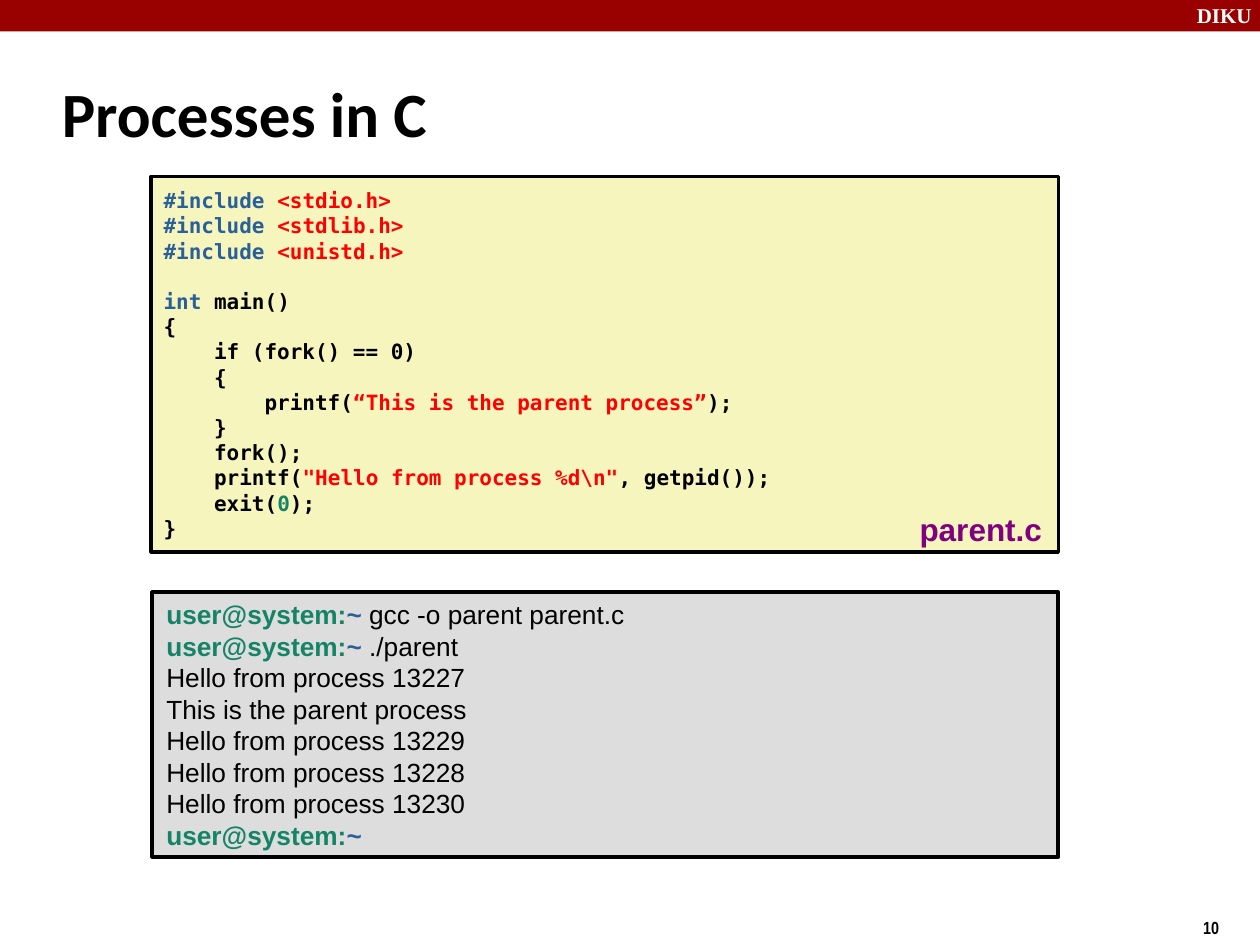
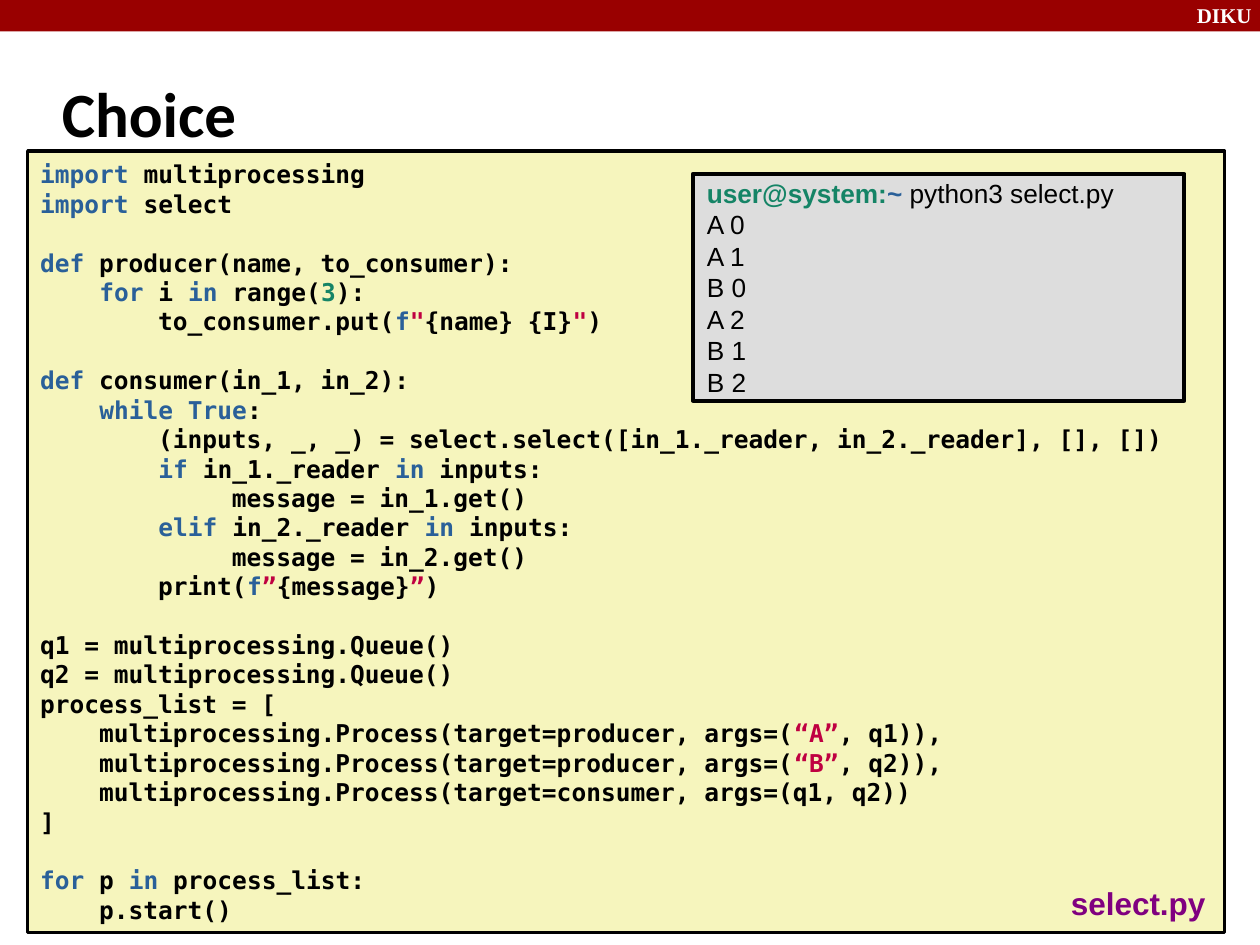
from pptx import Presentation
from pptx.dml.color import RGBColor
from pptx.enum.shapes import MSO_SHAPE as Shape
from pptx.enum.text import MSO_ANCHOR as Anchor, PP_ALIGN as Align
from pptx.util import Inches, Pt

BLACK, WHITE, BAND = "000000", "FFFFFF", "990000"
CODE_FILL, TERMINAL_FILL = "F6F5BD", "DDDDDD"
KEYWORD, NUMBER, FILE_NAME = "2A6099", "158466", "800080"
LINE_HEIGHT = 1.2
PROMPT = "&user@system:|^~"

PARENT_CODE = r"""^#include |$<stdio.h>
^#include |$<stdlib.h>
^#include |$<unistd.h>

^int| main()
{
    if (fork() == 0)
    {
        printf(|$“This is the parent process”|);
    }
    fork();
    printf(|$"Hello from process %d\n"|, getpid());
    exit(|&0|);
}"""

PARENT_RUN = f"""{PROMPT}| gcc -o parent parent.c
{PROMPT}| ./parent
Hello from process 13227
This is the parent process
Hello from process 13229
Hello from process 13228
Hello from process 13230
{PROMPT}"""

SELECT_CODE = """^import| multiprocessing
^import| select

^def| producer(name, to_consumer):
    |^for| i |^in| range(|&3|):
        to_consumer.put(|^f|$"|{name} {I}|$"|)

^def| consumer(in_1, in_2):
    |^while True|:
        (inputs, _, _) = select.select([in_1._reader, in_2._reader], [], [])
        |^if| in_1._reader |^in| inputs:
             message = in_1.get()
        |^elif| in_2._reader |^in| inputs:
             message = in_2.get()
        print(|^f|$”|{message}|$”|)

q1 = multiprocessing.Queue()
q2 = multiprocessing.Queue()
process_list = [
    multiprocessing.Process(target=producer, args=(|$“A”|, q1)),
    multiprocessing.Process(target=producer, args=(|$“B”|, q2)),
    multiprocessing.Process(target=consumer, args=(q1, q2))
]

^for| p |^in| process_list:
    p.start()"""

SELECT_RUN = f"""{PROMPT}| python3 select.py
A 0
A 1
B 0
A 2
B 1
B 2"""

PAGES = [
    {"title": "Processes in C", "number": "10", "string": "FF0000",
     "code": (PARENT_CODE, 12, (1.2, 1.4, 7.2, 2.98)),
     "run": (PARENT_RUN, (1.21, 4.7, 7.19, 2.1)),
     "file": ("parent.c", (7.2, 4, 1.2, 0.38))},
    {"title": "Choice", "number": None, "string": "BF0041",
     "code": (SELECT_CODE, 14, (0.22, 1.2, 9.5, 6.2)),
     "run": (SELECT_RUN, (5.5, 1.38, 3.9, 1.8)),
     "file": ("select.py", (8.4, 6.97, 1.3, 0.4))},
]


def color(value):
    return RGBColor.from_string(value)


def add_label(page, text, place, font_name, size, ink):
    box = page.shapes.add_textbox(*map(Inches, place))
    box.text_frame.word_wrap = True
    para = box.text_frame.paragraphs[0]
    para.text = text
    para.font.name = font_name
    para.font.size = Pt(size)
    para.font.bold = True
    para.font.color.rgb = color(ink)


deck = Presentation()
deck.slide_width, deck.slide_height = Inches(10), Inches(7.5)

for content in PAGES:
    page = deck.slides.add_slide(deck.slide_layouts[5])
    title = page.shapes.title
    title.left, title.top, title.width, title.height = map(Inches, (0.39, 0.48, 8.3, 0.83))
    title.text_frame.vertical_anchor = Anchor.MIDDLE
    para = title.text_frame.paragraphs[0]
    para.text = content["title"]
    para.alignment = Align.LEFT
    para.font.name = "Calibri"
    para.font.size = Pt(36)
    para.font.bold = True
    para.font.color.rgb = color(BLACK)

    band = page.shapes.add_shape(Shape.RECTANGLE, 0, 0, Inches(10), Inches(0.25))
    band.shadow.inherit = False
    band.fill.solid()
    band.fill.fore_color.rgb = color(BAND)
    band.line.fill.background()
    add_label(page, "DIKU", (9.4, -0.03, 0.67, 0.3), "Times New Roman", 12, WHITE)
    if content["number"]:
        add_label(page, content["number"], (9.45, 7.23, 0.75, 0.29), "Arial Narrow", 10, BLACK)

    inks = {"^": KEYWORD, "$": content["string"], "&": NUMBER}
    code, code_size, code_place = content["code"]
    run, run_place = content["run"]
    panels = [
        (code, code_place, CODE_FILL, 2, "DejaVu Sans Mono", code_size, True, 0.1, 0.05),
        (run, run_place, TERMINAL_FILL, 2.3, "Arial", 15, False, 0.11, 0.06),
    ]
    for text, place, fill, line_width, font_name, size, bold, side, edge in panels:
        panel = page.shapes.add_shape(Shape.RECTANGLE, *map(Inches, place))
        panel.shadow.inherit = False
        panel.fill.solid()
        panel.fill.fore_color.rgb = color(fill)
        panel.line.color.rgb = color(BLACK)
        panel.line.width = Pt(line_width)
        frame = panel.text_frame
        frame.word_wrap = True
        frame.vertical_anchor = Anchor.MIDDLE
        frame.margin_left = frame.margin_right = Inches(side)
        frame.margin_top = frame.margin_bottom = Inches(edge)
        para, gap = frame.paragraphs[0], 0
        for number, line in enumerate(text.split("\n")):
            if not line:
                gap = size * LINE_HEIGHT
                continue
            if number:
                para = frame.add_paragraph()
            para.alignment = Align.LEFT
            if gap:
                para.space_before = Pt(gap)
                gap = 0
            para.font.name = font_name
            para.font.size = Pt(size)
            para.font.bold = bold
            for piece in line.split("|"):
                marked = piece[0] in inks
                span = para.add_run()
                span.text = piece[1:] if marked else piece
                span.font.color.rgb = color(inks[piece[0]] if marked else BLACK)
                if marked:
                    span.font.bold = True

    file_name, file_place = content["file"]
    add_label(page, file_name, file_place, "Arial", 18, FILE_NAME)

deck.save("out.pptx")
